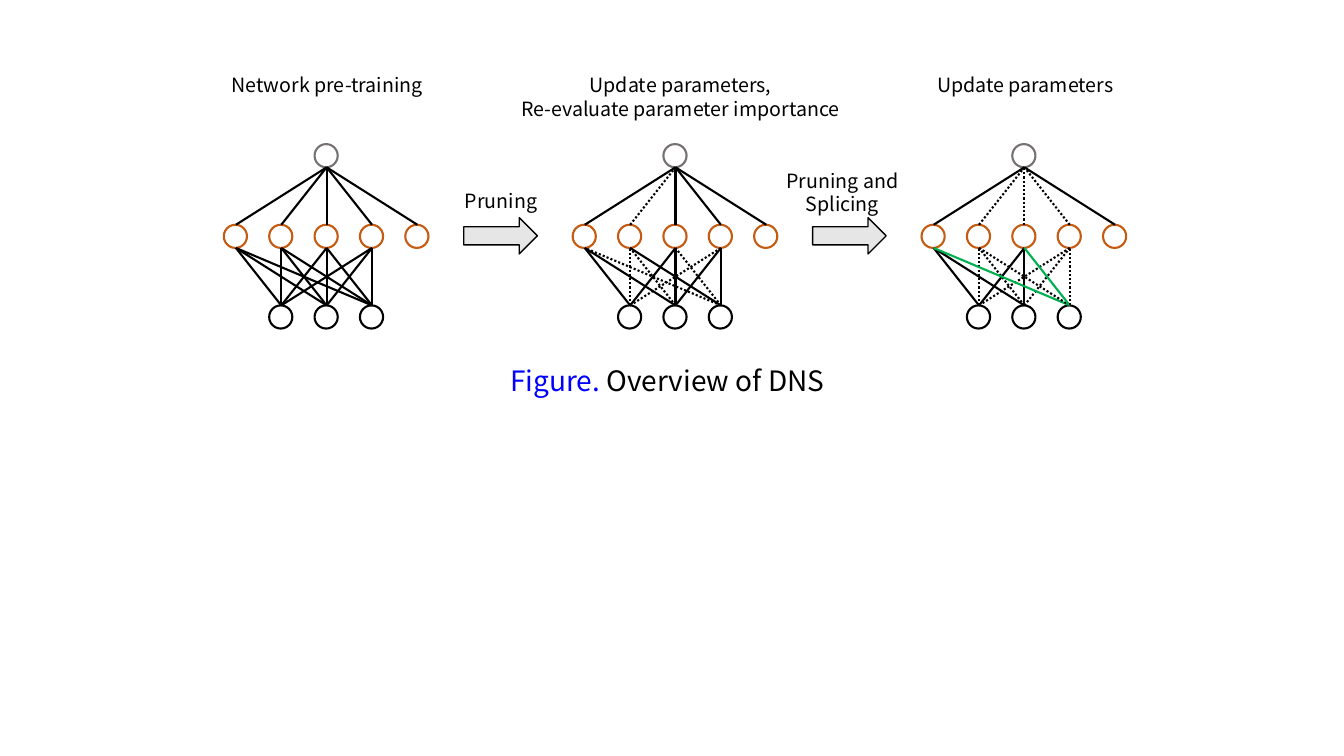
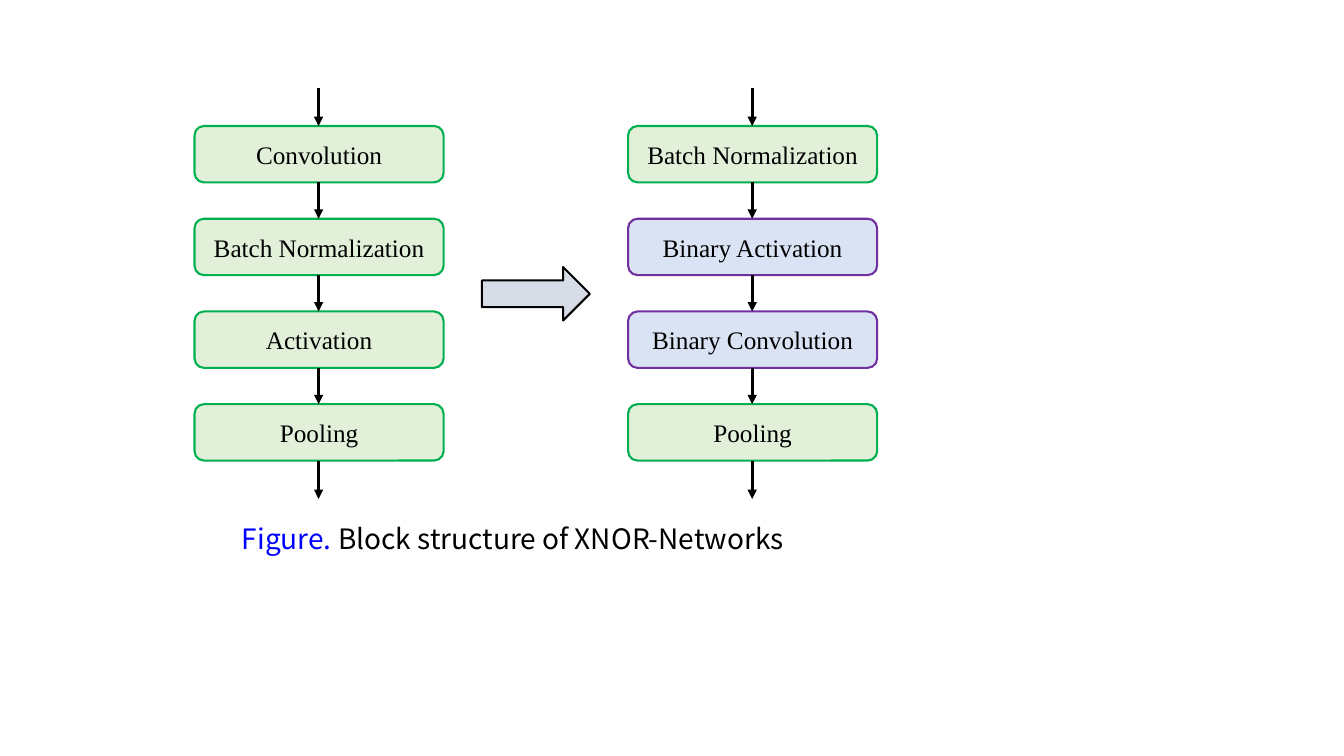
from pptx import Presentation
from pptx import util as u
from pptx.dml.color import RGBColor
from pptx.enum import dml, shapes, text
from pptx.oxml.ns import qn
from lxml import etree

PX = 9144
SANS = "Noto Sans CJK SC"
SERIF = "Times New Roman"
HUES = {
    "ink": "000000", "blue": "0000FF", "gray": "767171", "rust": "C55A11",
    "green": "00B050", "violet": "7030A0", "mint": "E2F0D9", "sky": "DAE3F3",
    "silver": "E7E6E6", "steel": "D6DCE5",
}
KINDS = {"plain": ("mint", "green"), "binary": ("sky", "violet")}

NODE = 23
STEP = 45
ROWS = {"top": 143, "mid": 223, "low": 303}
NETS = [
    {"mid": 324, "fan": set(), "dots": set(), "new": set()},
    {"mid": 670, "fan": {1},
     "dots": {(1, 1), (3, 1), (1, 2), (2, 3), (0, 3)}, "new": set()},
    {"mid": 1016, "fan": {1, 2, 3},
     "dots": {(1, 1), (3, 1), (1, 2), (3, 2), (3, 3), (1, 3)},
     "new": {(2, 3), (0, 3)}},
]
LABELS = [
    ("Network pre-training", (215, 67, 219, 34), False),
    ("Update parameters,\nRe-evaluate parameter importance", (501, 67, 348, 57), False),
    ("Update parameters", (916, 67, 202, 34), False),
    ("Pruning", (450, 182, 94, 34), False),
    ("Pruning and Splicing", (754, 162, 163, 57), True),
]

WIDE, HIGH, TOP, PITCH, STUB = 247, 56, 125, 92, 38
STACKS = [
    (193, [("Convolution", "plain"), ("Batch Normalization", "plain"),
           ("Activation", "plain"), ("Pooling", "plain")]),
    (623, [("Batch Normalization", "plain"), ("Binary Activation", "binary"),
           ("Binary Convolution", "binary"), ("Pooling", "plain")]),
]


def scale(box):
    return [n * PX for n in box]


def tint(name):
    return RGBColor.from_string(HUES[name])


def style(run, size, font, hue="ink"):
    run.font.size = u.Pt(size)
    run.font.name = font
    run.font.color.rgb = tint(hue)


def shape(group, kind, box, fill, line, width=1.5):
    item = group.shapes.add_shape(kind, *scale(box))
    item.shadow.inherit = False
    if fill:
        item.fill.solid()
        item.fill.fore_color.rgb = tint(fill)
    else:
        item.fill.background()
    item.line.color.rgb = tint(line)
    item.line.width = u.Pt(width)
    return item


def link(group, start, end, hue="ink", width=1.5, dots=False, head=False):
    item = group.shapes.add_connector(
        shapes.MSO_CONNECTOR.STRAIGHT, *scale(start + end))
    item.line.color.rgb = tint(hue)
    item.line.width = u.Pt(width)
    if dots:
        item.line.dash_style = dml.MSO_LINE.ROUND_DOT
    props = item._element.spPr
    if head:
        etree.SubElement(props.find(qn("a:ln")), qn("a:tailEnd"), type="triangle")
    etree.SubElement(props, qn("a:effectLst"))


def frame(slide, box, wrap=False):
    body = slide.shapes.add_textbox(*scale(box)).text_frame
    body.word_wrap = wrap
    body.auto_size = text.MSO_AUTO_SIZE.SHAPE_TO_FIT_TEXT
    return body


def label(slide, words, box, wrap):
    body = frame(slide, box, wrap)
    body.text = words
    for para in body.paragraphs:
        para.alignment = text.PP_ALIGN.CENTER
        para.line_spacing = u.Pt(17)
        style(para.runs[0], 14, SANS)


def legend(slide, words, box):
    para = frame(slide, box).paragraphs[0]
    para.line_spacing = u.Pt(24)
    for part, hue in (("Figure. ", "blue"), (words, "ink")):
        run = para.add_run()
        run.text = part
        style(run, 20, SANS, hue)


def arrow(group, box, fill, width):
    shape(group, shapes.MSO_SHAPE.RIGHT_ARROW, box, fill, "ink", width)


def net(slide, mid, fan, dots, new):
    group = slide.shapes.add_group_shape()
    spots = [mid + (i - 2) * STEP for i in range(5)]
    layers = (("top", "gray", [mid]), ("mid", "rust", spots),
              ("low", "ink", spots[1:4]))
    for row, hue, places in layers:
        for x in places:
            box = (x - NODE // 2 - 1, ROWS[row], NODE, NODE)
            shape(group, shapes.MSO_SHAPE.OVAL, box, None, hue)
    for i, x in enumerate(spots):
        link(group, (x, ROWS["mid"]), (mid, ROWS["top"] + NODE), dots=i in fan)
    for low in range(1, 4):
        for i in range(4):
            edge = (i, low)
            link(group, (spots[low], ROWS["low"]), (spots[i], ROWS["mid"] + NODE),
                 hue="green" if edge in new else "ink", dots=edge in dots)


def block(group, words, kind, left, top):
    item = shape(group, shapes.MSO_SHAPE.ROUNDED_RECTANGLE,
                 (left, top, WIDE, HIGH), *KINDS[kind])
    body = item.text_frame
    body.text = words
    body.vertical_anchor = text.MSO_ANCHOR.MIDDLE
    para = body.paragraphs[0]
    para.alignment = text.PP_ALIGN.CENTER
    style(para.runs[0], 18, SERIF)


def stack(group, left, blocks):
    tops = [TOP + i * PITCH for i in range(len(blocks))]
    for (words, kind), top in zip(blocks, tops):
        block(group, words, kind, left, top)
    mid = left + WIDE // 2
    starts = [TOP - STUB] + [top + HIGH for top in tops]
    ends = tops + [tops[-1] + HIGH + STUB]
    for start, end in zip(starts, ends):
        link(group, (mid, start), (mid, end), width=2.25, head=True)


def prune(slide):
    for spec in NETS:
        net(slide, **spec)
    for left in (460, 806):
        arrow(slide, (left, 216, 73, 36), "silver", 1)
    for words, box, wrap in LABELS:
        label(slide, words, box, wrap)
    legend(slide, "Overview of DNS", (496, 356, 348, 44))


def binary(slide):
    group = slide.shapes.add_group_shape()
    for left, blocks in STACKS:
        stack(group, left, blocks)
    arrow(group, (478, 265, 107, 53), "steel", 1.5)
    legend(slide, "Block structure of XNOR-Networks", (230, 512, 602, 44))


def main():
    deck = Presentation()
    deck.slide_width, deck.slide_height = scale((1333, 750))
    for draw in (prune, binary):
        draw(deck.slides.add_slide(deck.slide_layouts[6]))
    deck.save("out.pptx")


if __name__ == "__main__":
    main()
